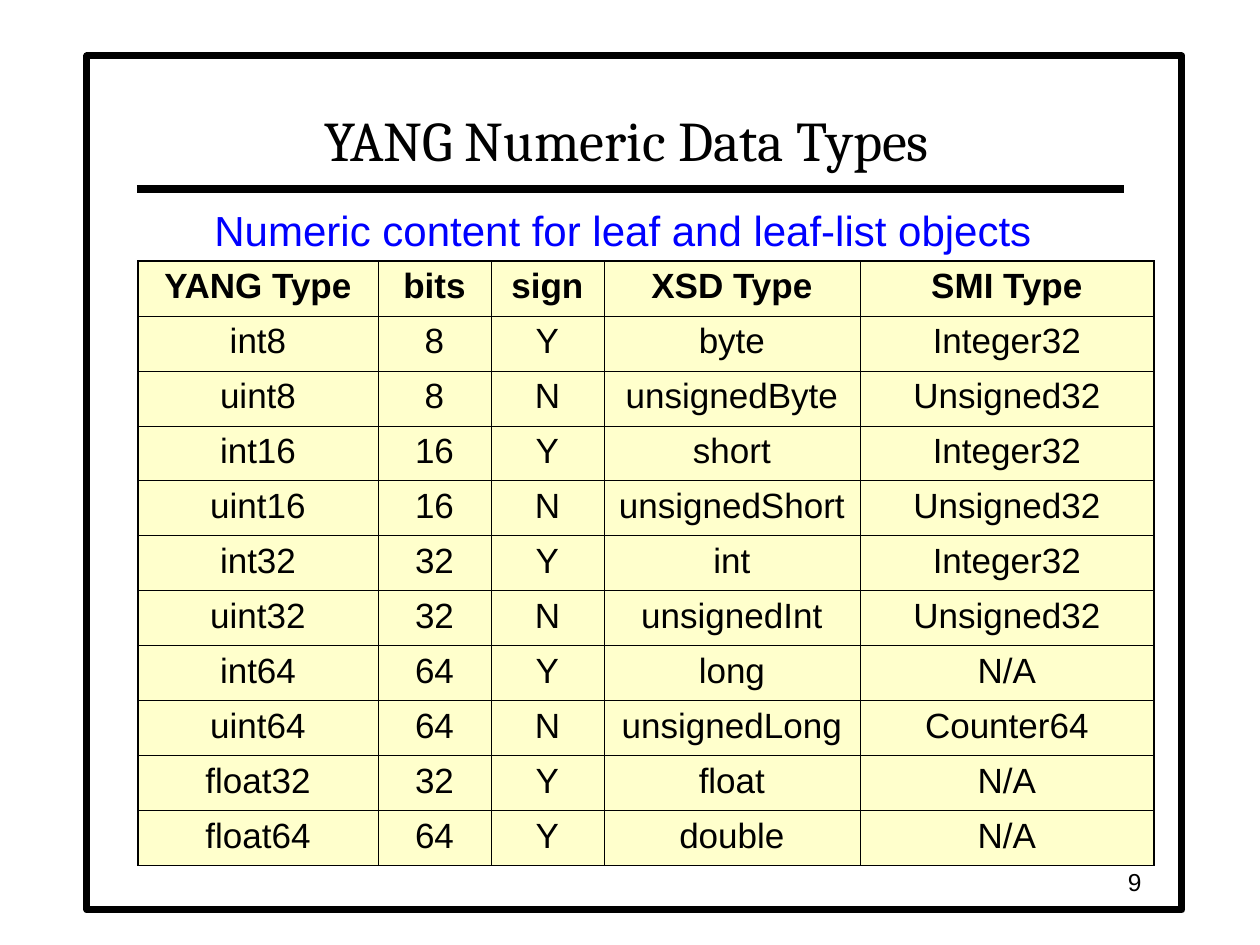
import lxml.etree
import pptx
import pptx.dml.color
import pptx.enum.shapes
import pptx.enum.text
import pptx.oxml.ns
import pptx.util

PX = 914400 / 126  # EMU per pixel
COLORS = {"ink": "000000", "paper": "FFFFFF", "cell": "FFFFCC", "caption": "0000FF"}
ALIGN = pptx.enum.text.PP_ALIGN
ANCHOR = pptx.enum.text.MSO_ANCHOR
qn = pptx.oxml.ns.qn

COLUMN_WIDTHS = [240, 113, 113, 256, 294]
ROW_HEIGHT = 55
NUMERIC_TYPES = [
    ("YANG Type", "bits", "sign", "XSD Type", "SMI Type"),
    ("int8", "8", "Y", "byte", "Integer32"),
    ("uint8", "8", "N", "unsignedByte", "Unsigned32"),
    ("int16", "16", "Y", "short", "Integer32"),
    ("uint16", "16", "N", "unsignedShort", "Unsigned32"),
    ("int32", "32", "Y", "int", "Integer32"),
    ("uint32", "32", "N", "unsignedInt", "Unsigned32"),
    ("int64", "64", "Y", "long", "N/A"),
    ("uint64", "64", "N", "unsignedLong", "Counter64"),
    ("float32", "32", "Y", "float", "N/A"),
    ("float64", "64", "Y", "double", "N/A"),
]


def px(length):
    return pptx.util.Emu(round(length * PX))


def rgb(name):
    return pptx.dml.color.RGBColor.from_string(COLORS[name])


class SlideBuilder:
    """Holds the text style and the slide being filled."""

    base_font = {"name": "Arial", "size": 20, "bold": False}

    def __init__(self, slide):
        self.slide = slide

    def set_text(self, frame, text, align, color="ink", **font_format):
        paragraph = frame.paragraphs[0]
        paragraph.alignment = align
        run = paragraph.add_run()
        run.text = text
        values = {**self.base_font, **font_format}
        values["size"] = pptx.util.Pt(values["size"])
        for attribute, value in values.items():
            setattr(run.font, attribute, value)
        run.font.color.rgb = rgb(color)

    def frame(self, left, top, width, height, weight):
        border = self.slide.shapes.add_shape(
            pptx.enum.shapes.MSO_SHAPE.RECTANGLE,
            px(left), px(top), px(width), px(height))
        border.shadow.inherit = False
        border.fill.solid()
        border.fill.fore_color.rgb = rgb("paper")
        border.line.color.rgb = rgb("ink")
        border.line.width = pptx.util.Pt(weight)

    def rule(self, left, right, y, weight):
        line = self.slide.shapes.add_connector(
            pptx.enum.shapes.MSO_CONNECTOR.STRAIGHT, px(left), px(y), px(right), px(y))
        line.line.color.rgb = rgb("ink")
        line.line.width = pptx.util.Pt(weight)
        lxml.etree.SubElement(line._element.spPr, qn("a:effectLst"))

    def text(self, left, top, width, height, text, align, anchor=ANCHOR.TOP, **style):
        box = self.slide.shapes.add_textbox(px(left), px(top), px(width), px(height))
        box.text_frame.word_wrap = True
        box.text_frame.vertical_anchor = anchor
        self.set_text(box.text_frame, text, align, **style)

    def cell_borders(self, cell, weights):
        for side, weight in weights.items():
            edge = lxml.etree.SubElement(
                cell._tc.get_or_add_tcPr(), qn("a:ln" + side), w=str(pptx.util.Pt(weight)))
            fill = lxml.etree.SubElement(edge, qn("a:solidFill"))
            lxml.etree.SubElement(fill, qn("a:srgbClr"), val=COLORS["ink"])

    def table(self, left, top, widths, row_height, rows, inner=0.45, outer=1.08):
        last_row, last_column = len(rows) - 1, len(widths) - 1
        table = self.slide.shapes.add_table(
            len(rows), len(widths), px(left), px(top),
            px(sum(widths)), px(row_height * len(rows))).table
        table.first_row = table.horz_banding = False
        for column, width in zip(table.columns, widths):
            column.width = px(width)
        for r, values in enumerate(rows):
            table.rows[r].height = px(row_height)
            for c, value in enumerate(values):
                cell = table.cell(r, c)
                on_edge = {"L": c == 0, "R": c == last_column,
                           "T": r == 0, "B": r == last_row}
                self.cell_borders(cell, {side: outer if edge else inner
                                         for side, edge in on_edge.items()})
                cell.fill.solid()
                cell.fill.fore_color.rgb = rgb("cell")
                self.set_text(cell.text_frame, value, ALIGN.CENTER, bold=r == 0)


def main():
    deck = pptx.Presentation()
    deck.slide_width, deck.slide_height = px(1260), px(945)
    page = SlideBuilder(deck.slides.add_slide(deck.slide_layouts[6]))

    # Page border and heading
    page.frame(87, 56, 1095, 854, weight=4)
    page.rule(137, 1124, 189, weight=4.5)
    page.text(136, 63, 982, 116, "YANG Numeric Data Types", ALIGN.CENTER,
              anchor=ANCHOR.BOTTOM, name="Cambria", size=32)

    # Type table with its caption
    page.table(138, 261, COLUMN_WIDTHS, ROW_HEIGHT, NUMERIC_TYPES)
    page.text(202, 198, 849, 63, "Numeric content for leaf and leaf-list objects",
              ALIGN.LEFT, color="caption", size=24)

    # Page number
    page.text(892, 861, 262, 42, "9", ALIGN.RIGHT, anchor=ANCHOR.MIDDLE, size=14)

    deck.save("out.pptx")


if __name__ == "__main__":
    main()
